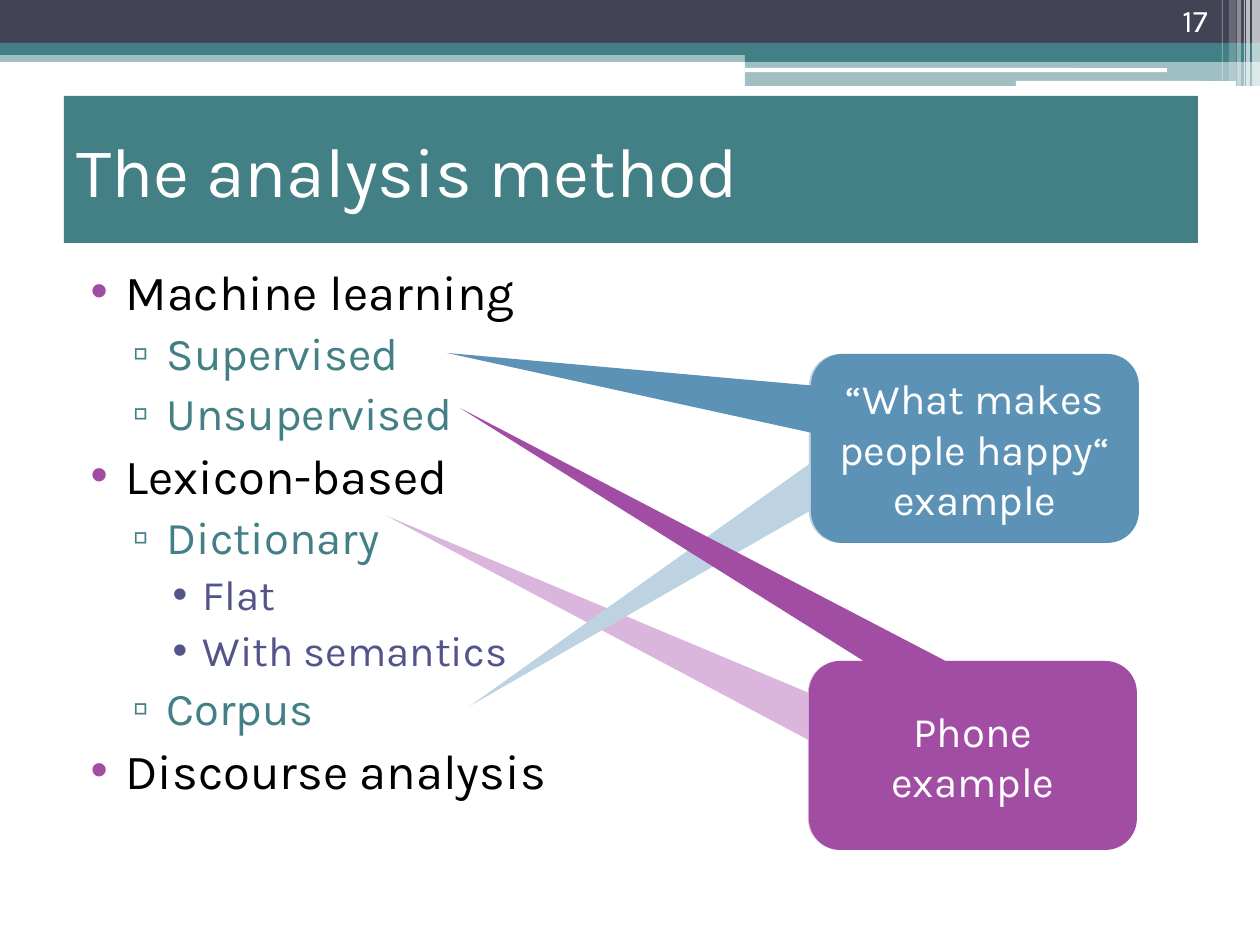
import pptx
import pptx.util
from lxml import etree
from pptx.dml.color import RGBColor
from pptx.enum.shapes import MSO_SHAPE
from pptx.enum.text import MSO_ANCHOR, MSO_AUTO_SIZE, PP_ALIGN
from pptx.oxml.ns import qn

PX = 914400 / 126
FONT = "Karla"
WHITE = RGBColor(0xFF, 0xFF, 0xFF)
BLACK = RGBColor(0x00, 0x00, 0x00)
SLATE = RGBColor(0x42, 0x44, 0x56)
TEAL = RGBColor(0x43, 0x80, 0x86)
INDIGO = RGBColor(0x53, 0x54, 0x8A)
PURPLE = RGBColor(0xA0, 0x4D, 0xA3)
PALE_PURPLE = RGBColor(0xDB, 0xB6, 0xDC)
BLUE = RGBColor(0x5C, 0x92, 0xB5)
PALE_BLUE = RGBColor(0xBE, 0xD3, 0xE1)

# left, top, width, height, colour, opacity in percent
HEADER_BANDS = [
    (0, 50, 1260, 12, TEAL, 50),
    (0, 0, 1260, 43, SLATE, 100),
    (0, 43, 1260, 12, TEAL, 100),
    (745, 49, 515, 13, TEAL, 100),
    (745, 61, 515, 25, TEAL, 50),
]
HEADER_LINES = [(745, 68, 422, 4), (1016, 81, 220, 5)]
# left, width, height, opacity in percent
CORNER_STRIPES = [
    (1252, 8, 86, 65), (1246, 4, 86, 65), (1244, 1, 86, 60),
    (1237, 4, 86, 40), (1229, 7, 81, 20), (1222, 1, 81, 30),
]
# left margin, hanging indent, bullet, bullet colour, size, text colour
LEVELS = [
    (50, 35, "•", PURPLE, 28, BLACK),
    (91, 34, "▫", TEAL, 26, TEAL),
    (127, 30, "•", INDIGO, 24, INDIGO),
]
METHODS = [
    (0, "Machine learning"), (1, "Supervised"), (1, "Unsupervised"),
    (0, "Lexicon-based"), (1, "Dictionary"), (2, "Flat"),
    (2, "With semantics"), (1, "Corpus"), (0, "Discourse analysis"),
]


def px(value):
    return pptx.util.Emu(round(value * PX))


def place(shape, *box):
    shape.left, shape.top, shape.width, shape.height = map(px, box)


def add_filled(shapes, kind, box, colour, opacity=100):
    shape = shapes.add_shape(kind, *map(px, box))
    shape.shadow.inherit = False
    shape.fill.solid()
    shape.fill.fore_color.rgb = colour
    shape.line.fill.background()
    if opacity < 100:
        solid = shape.fill._xPr.find(qn("a:solidFill"))
        etree.SubElement(solid[0], qn("a:alpha"), val=str(opacity * 1000))
    return shape


def format_runs(paragraph, size, colour, align=PP_ALIGN.LEFT):
    paragraph.alignment = align
    for run in paragraph.runs:
        run.font.name = FONT
        run.font.size = pptx.util.Pt(size)
        run.font.color.rgb = colour


def add_callout(shapes, box, tip, colour, text=""):
    callout = add_filled(shapes, MSO_SHAPE.ROUNDED_RECTANGULAR_CALLOUT, box, colour)
    left, top, width, height = box
    # The tip is measured from the centre, as a share of the size
    callout.adjustments[0] = (tip[0] - left) / width - 0.5
    callout.adjustments[1] = (tip[1] - top) / height - 0.5
    callout.adjustments[2] = 0.167
    if text:
        frame = callout.text_frame
        frame.word_wrap = True
        frame.vertical_anchor = MSO_ANCHOR.MIDDLE
        frame.text = text
        format_runs(frame.paragraphs[0], 24, WHITE, PP_ALIGN.CENTER)


def add_header(shapes):
    for *box, colour, opacity in HEADER_BANDS:
        add_filled(shapes, MSO_SHAPE.RECTANGLE, box, colour, opacity)
    for box in HEADER_LINES:
        add_filled(shapes, MSO_SHAPE.ROUNDED_RECTANGLE, box, WHITE)
    for left, width, height, opacity in CORNER_STRIPES:
        add_filled(shapes, MSO_SHAPE.RECTANGLE, (left, 0, width, height), WHITE, opacity)
    number = shapes.add_textbox(*map(px, (1037, -5, 183, 63))).text_frame
    number.word_wrap = True
    number.text = "17"
    format_runs(number.paragraphs[0], 18, WHITE, PP_ALIGN.RIGHT)


def fill_title(title):
    place(title, 64, 96, 1134, 147)
    title.fill.solid()
    title.fill.fore_color.rgb = TEAL
    frame = title.text_frame
    frame.auto_size = MSO_AUTO_SIZE.NONE
    frame.vertical_anchor = MSO_ANCHOR.MIDDLE
    frame.text = "The analysis method"
    format_runs(frame.paragraphs[0], 40, WHITE)


def set_bullet(paragraph, margin, hanging, char, colour):
    properties = paragraph._p.get_or_add_pPr()
    properties.set("marL", str(px(margin)))
    properties.set("indent", str(-px(hanging)))
    bullet_colour = etree.SubElement(properties, qn("a:buClr"))
    etree.SubElement(bullet_colour, qn("a:srgbClr"), val=str(colour))
    etree.SubElement(properties, qn("a:buChar"), char=char)


def fill_methods(body):
    place(body, 63, 255, 1134, 635)
    frame = body.text_frame
    frame.auto_size = MSO_AUTO_SIZE.NONE
    frame.text = "\n".join(text for _, text in METHODS)
    for index, (paragraph, (level, _)) in enumerate(zip(frame.paragraphs, METHODS)):
        margin, hanging, char, bullet_colour, size, colour = LEVELS[level]
        paragraph.level = level
        paragraph.space_before = pptx.util.Pt(3 if index else 0)
        set_bullet(paragraph, margin, hanging, char, bullet_colour)
        format_runs(paragraph, size, colour)


def main():
    deck = pptx.Presentation()
    deck.slide_width, deck.slide_height = px(1260), px(945)
    slide = deck.slides.add_slide(deck.slide_layouts[1])
    shapes = slide.shapes

    # Header and text
    add_header(shapes)
    fill_title(shapes.title)
    fill_methods(slide.placeholders[1])

    # Examples, each pointing at two methods
    add_callout(shapes, (808, 661, 328, 189), (387, 516), PALE_PURPLE)
    happiness = shapes.add_group_shape().shapes
    add_callout(happiness, (809, 354, 328, 189), (470, 706), PALE_BLUE)
    add_callout(happiness, (811, 354, 328, 189), (447, 353), BLUE,
                "“What makes people happy“ example")
    add_callout(shapes, (809, 661, 328, 189), (460, 408), PURPLE, "Phone example")

    deck.save("out.pptx")


if __name__ == "__main__":
    main()
